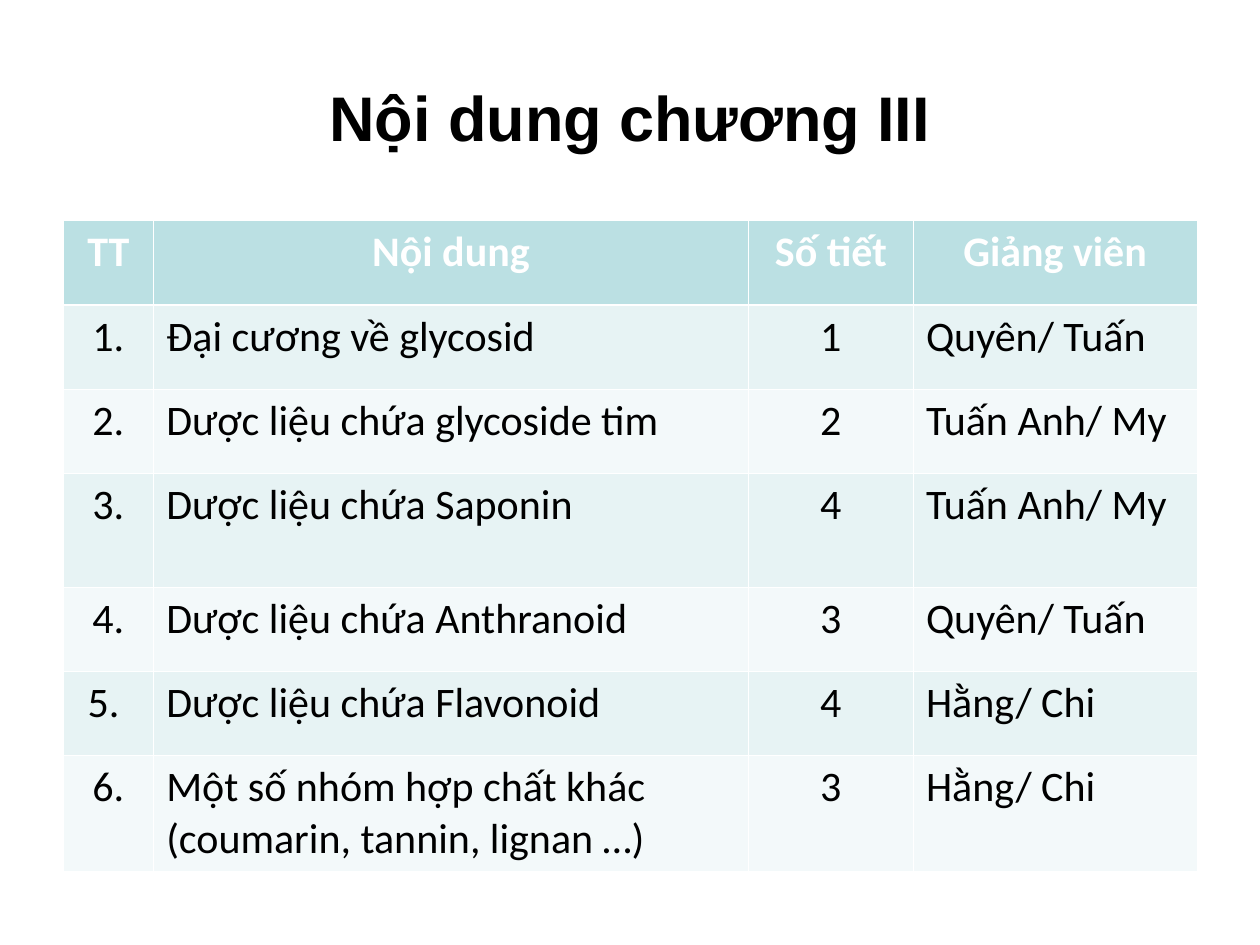
from dataclasses import dataclass

from lxml.etree import SubElement
from pptx import Presentation
from pptx.dml.color import RGBColor
from pptx.enum.text import MSO_ANCHOR as Anchor, PP_ALIGN as Align
from pptx.oxml.ns import qn
from pptx.util import Inches, Pt


@dataclass(frozen=True)
class Theme:
    black: str = "000000"
    white: str = "FFFFFF"
    header: str = "BBE0E3"
    bands: tuple = ("E7F3F4", "F3F9FA")
    title_font: str = "Arial"
    table_font: str = "Calibri"
    title_size: int = 36
    table_size: int = 24
    thin_line: float = 0.45
    header_line: float = 1.47


THEME = Theme()
COLUMN_WIDTHS = (0.72, 4.72, 1.31, 2.25)
COLUMN_ALIGNMENTS = (Align.CENTER, Align.LEFT, Align.CENTER, Align.LEFT)
ROW_HEIGHT, TALL_ROW_HEIGHT = 0.67, 0.9
TALL_ROWS = (3, 6)
ROWS = (
    ("TT", "Nội dung", "Số tiết", "Giảng viên"),
    ("1.", "Đại cương về glycosid", "1", "Quyên/ Tuấn"),
    ("2.", "Dược liệu chứa glycoside tim", "2", "Tuấn Anh/ My"),
    ("3.", "Dược liệu chứa Saponin", "4", "Tuấn Anh/ My"),
    ("4.", "Dược liệu chứa Anthranoid", "3", "Quyên/ Tuấn"),
    ("5. ", "Dược liệu chứa Flavonoid", "4", "Hằng/ Chi"),
    ("6.", "Một số nhóm hợp chất khác (coumarin, tannin, lignan …)", "3", "Hằng/ Chi"),
)


def write_text(text_frame, text, font_name, size, color, bold, alignment):
    text_frame.text = text
    paragraph = text_frame.paragraphs[0]
    paragraph.alignment = alignment
    font = paragraph.runs[0].font
    font.name, font.size, font.bold = font_name, Pt(size), bold
    font.color.rgb = RGBColor.from_string(color)


def add_title(slide, text):
    title = slide.shapes.title
    title.left, title.top = Inches(0.5), Inches(0.3)
    title.width, title.height = Inches(9), Inches(1.25)
    title.text_frame.vertical_anchor = Anchor.MIDDLE
    write_text(title.text_frame, text, THEME.title_font, THEME.title_size,
               THEME.black, True, Align.CENTER)


def set_borders(cell, row_index):
    widths = {
        "a:lnL": THEME.thin_line,
        "a:lnR": THEME.thin_line,
        "a:lnT": THEME.header_line if row_index == 1 else THEME.thin_line,
        "a:lnB": THEME.header_line if row_index == 0 else THEME.thin_line,
    }
    properties = cell._tc.get_or_add_tcPr()
    for tag, width in widths.items():
        line = SubElement(properties, qn(tag), w=str(int(Pt(width))))
        fill = SubElement(line, qn("a:solidFill"))
        SubElement(fill, qn("a:srgbClr"), val=THEME.white)


def format_cell(cell, text, row_index, column_alignment):
    is_header = row_index == 0
    set_borders(cell, row_index)
    cell.fill.solid()
    fill_color = THEME.header if is_header else THEME.bands[(row_index - 1) % 2]
    cell.fill.fore_color.rgb = RGBColor.from_string(fill_color)
    cell.vertical_anchor = Anchor.TOP
    write_text(cell.text_frame, text, THEME.table_font, THEME.table_size,
               THEME.white if is_header else THEME.black, is_header,
               Align.CENTER if is_header else column_alignment)


def add_content_table(slide):
    heights = [TALL_ROW_HEIGHT if index in TALL_ROWS else ROW_HEIGHT
               for index in range(len(ROWS))]
    table = slide.shapes.add_table(
        len(ROWS), len(COLUMN_WIDTHS), Inches(0.5), Inches(1.75),
        Inches(sum(COLUMN_WIDTHS)), Inches(sum(heights))).table
    for column, width in zip(table.columns, COLUMN_WIDTHS):
        column.width = Inches(width)
    for row_index, (row, height) in enumerate(zip(table.rows, heights)):
        row.height = Inches(height)
        for cell, text, alignment in zip(row.cells, ROWS[row_index], COLUMN_ALIGNMENTS):
            format_cell(cell, text, row_index, alignment)


def main():
    presentation = Presentation()
    presentation.slide_width, presentation.slide_height = Inches(10), Inches(7.5)
    slide = presentation.slides.add_slide(presentation.slide_layouts[5])
    add_title(slide, "Nội dung chương III")
    add_content_table(slide)
    presentation.save("out.pptx")


if __name__ == "__main__":
    main()
